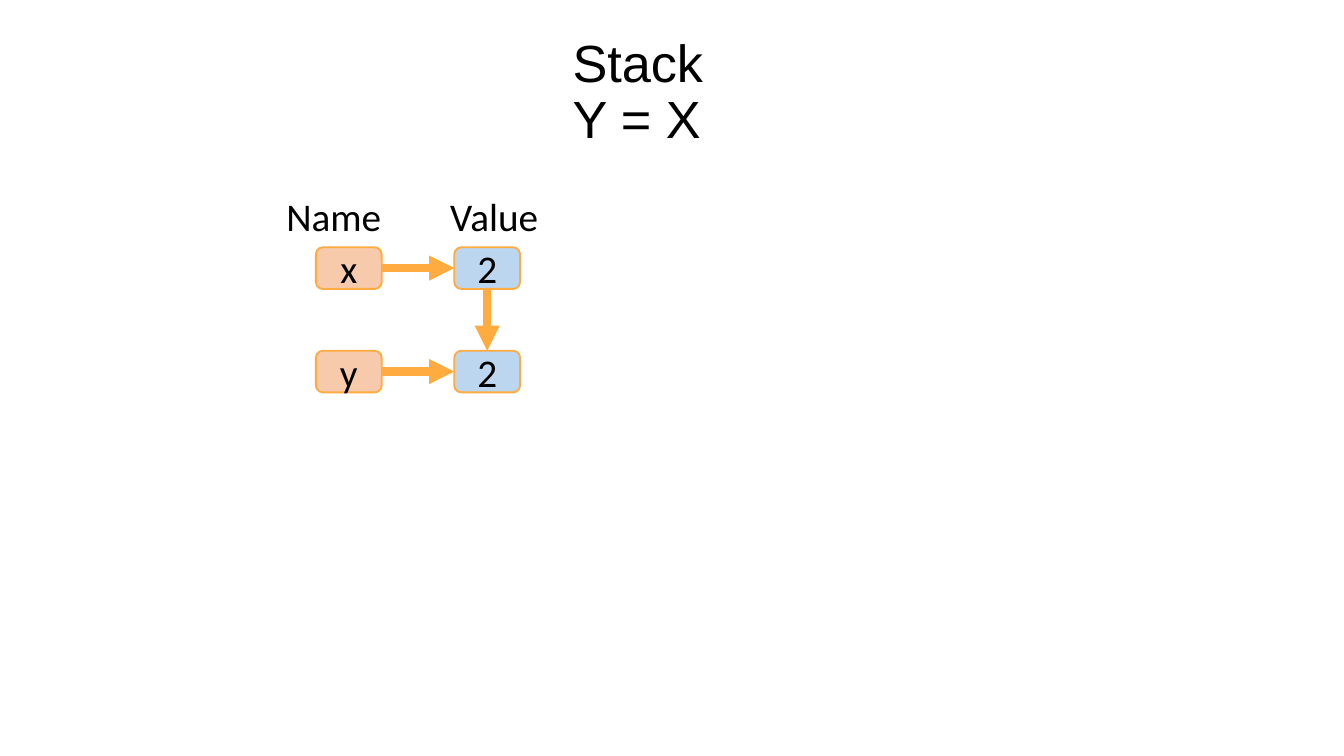
from pptx import Presentation
from pptx.dml.color import RGBColor
from pptx.enum.shapes import MSO_CONNECTOR as LINK, MSO_SHAPE as SHAPE
from pptx.enum.text import MSO_ANCHOR as ANCHOR, PP_ALIGN as ALIGN
from pptx.oxml.ns import qn
from pptx.util import Inches, Pt
from lxml.etree import SubElement

BLACK = RGBColor(0x00, 0x00, 0x00)
ORANGE = RGBColor(0xFF, 0xAB, 0x40)
PEACH = RGBColor(0xF7, 0xCA, 0xAC)
BLUE = RGBColor(0xBB, 0xD6, 0xEE)


def write(shape, lines, size, font, anchor, align, space=1.0):
    frame = shape.text_frame
    frame.word_wrap = True
    frame.vertical_anchor = anchor
    frame.margin_left = frame.margin_right = Inches(0.07)
    frame.margin_top = frame.margin_bottom = Inches(0.04)
    for i, line in enumerate(lines):
        para = frame.add_paragraph() if i else frame.paragraphs[0]
        para.alignment = align
        para.line_spacing = space
        run = para.add_run()
        run.text = line
        run.font.size = Pt(size)
        run.font.name = font
        run.font.color.rgb = BLACK


def join(start, out, end, into):
    arrow = slide.shapes.add_connector(LINK.STRAIGHT, 0, 0, 0, 0)
    arrow.begin_connect(start, out)
    arrow.end_connect(end, into)
    arrow.line.color.rgb = ORANGE
    arrow.line.width = Pt(4.5)
    props = arrow._element.spPr
    SubElement(props.find(qn("a:ln")), qn("a:tailEnd"), type="triangle")
    SubElement(props, qn("a:effectLst"))


deck = Presentation()
deck.slide_width = Inches(10)
deck.slide_height = Inches(10) * 9 // 16
slide = deck.slides.add_slide(deck.slide_layouts[6])

title = slide.shapes.add_textbox(Inches(4.19), Inches(0.3), Inches(2.13), Inches(0.79))
write(title, ["Stack", "Y = X"], 28, "Arial", ANCHOR.MIDDLE, ALIGN.LEFT, 0.9)

for text, left in [("Name", 2.06), ("Value", 3.28)]:
    head = slide.shapes.add_textbox(Inches(left), Inches(1.39), Inches(0.91), Inches(0.43))
    write(head, [text], 21, "Calibri", ANCHOR.TOP, ALIGN.LEFT)

cells = []
for row, pair in enumerate([("x", "2"), ("y", "2")]):
    top = 1.84 + row * 0.77
    for text, left, fill in zip(pair, (2.35, 3.38), (PEACH, BLUE)):
        cell = slide.shapes.add_shape(
            SHAPE.ROUNDED_RECTANGLE, Inches(left), Inches(top), Inches(0.49), Inches(0.31))
        cell.shadow.inherit = False
        cell.fill.solid()
        cell.fill.fore_color.rgb = fill
        cell.line.color.rgb = ORANGE
        cell.line.width = Pt(1)
        write(cell, [text], 21, "Calibri", ANCHOR.MIDDLE, ALIGN.CENTER)
        cells.append(cell)

x, first, y, second = cells
join(x, 3, first, 1)
join(y, 3, second, 1)
join(first, 2, second, 0)

deck.save("out.pptx")
